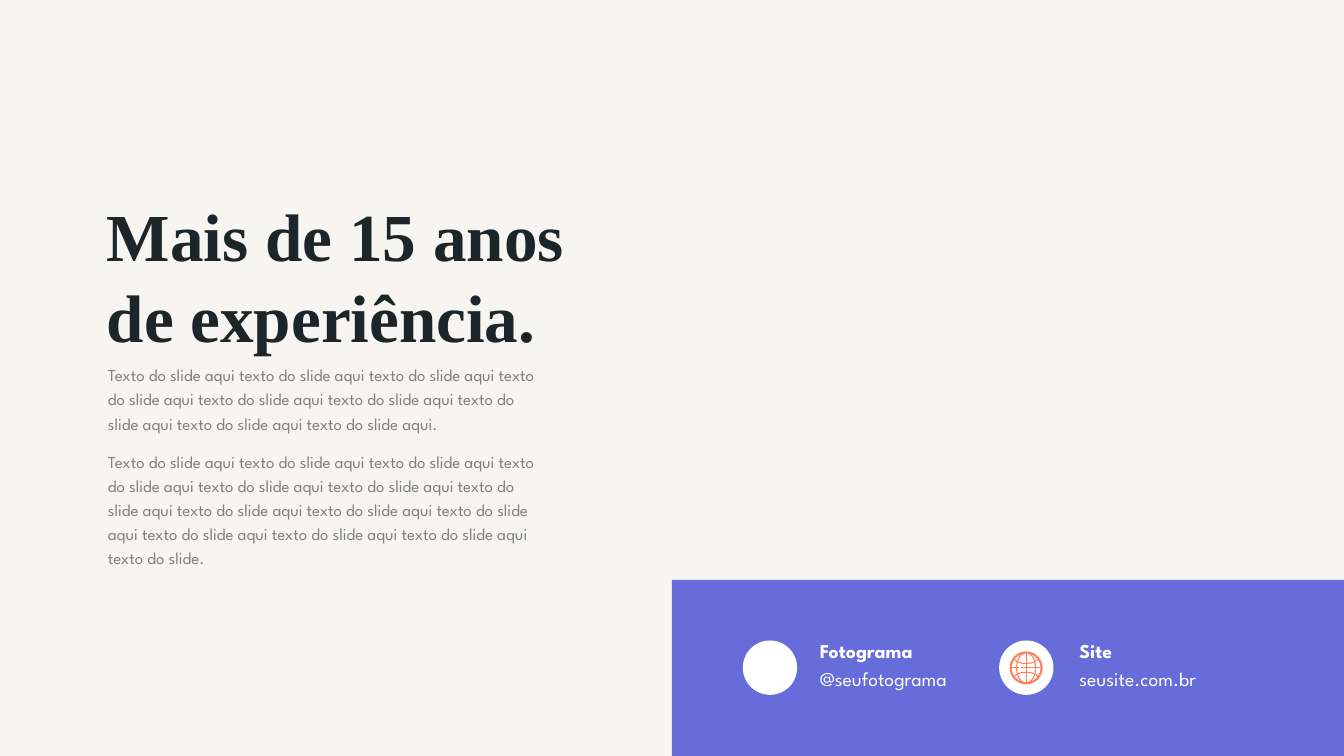
"""Build the experience slide with its contact band."""
from math import cos, pi, sin

from lxml import etree
from pptx import Presentation
from pptx.dml.color import RGBColor
from pptx.enum.shapes import MSO_CONNECTOR, MSO_SHAPE
from pptx.oxml.ns import qn
from pptx.util import Cm, Pt

STRAIGHT = MSO_CONNECTOR.STRAIGHT
OVAL = MSO_SHAPE.OVAL
RECTANGLE = MSO_SHAPE.RECTANGLE

TITLE = "Mais de 15 anos de experiência."
PHRASE = "exto do slide aqui"
BODY = [
    "T" + " t".join([PHRASE] * 9) + ".",
    "T" + " t".join([PHRASE] * 13) + " texto do slide.",
]
CONTACTS = [
    {"name": "Fotograma", "value": "@seufotograma", "circle": 18.72, "text": 20.41},
    {"name": "Site", "value": "seusite.com.br", "circle": 25.18, "text": 26.95},
]
COLORS = {
    "background": "F7F5F2", "band": "676CDB", "title": "1C2528",
    "body": "808080", "white": "FFFFFF", "globe": "FF8059",
}
TITLE_FONT, TEXT_FONT = "Times New Roman", "League Spartan"
SLIDE_WIDTH, SLIDE_HEIGHT = 33.87, 19.05
BAND_TOP = 14.61
CIRCLE_TOP, CIRCLE_SIZE = 16.14, 1.37
NAME_TOP, VALUE_TOP = 16.05, 16.74
GLOBE_X, GLOBE_Y = 25.86, 16.83


def color(name):
    return RGBColor.from_string(COLORS[name])


def add_text(slide, area, lines, font, size, color_name, spacing, bold=False):
    box = slide.shapes.add_textbox(*map(Cm, area))
    frame = box.text_frame
    frame.word_wrap = True
    frame.text = "\n".join(lines)
    for index, para in enumerate(frame.paragraphs):
        para.line_spacing = spacing
        if index:
            para.space_before = Pt(10)
        for span in para.runs:
            span.font.name = font
            span.font.size = Pt(size)
            span.font.bold = bold
            span.font.color.rgb = color(color_name)


def add_solid(slide, preset, area, color_name):
    shape = slide.shapes.add_shape(preset, *map(Cm, area))
    shape.shadow.inherit = False
    shape.fill.solid()
    shape.fill.fore_color.rgb = color(color_name)
    shape.line.fill.background()


def outline(shape, weight):
    shape.line.color.rgb = color("globe")
    shape.line.width = Pt(weight)


def add_ring(slide, width, height, weight):
    ring = slide.shapes.add_shape(
        OVAL, Cm(GLOBE_X - width / 2), Cm(GLOBE_Y - height / 2), Cm(width), Cm(height))
    ring.shadow.inherit = False
    ring.fill.background()
    outline(ring, weight)


def add_line(slide, start, end):
    line = slide.shapes.add_connector(STRAIGHT, *map(Cm, start + end))
    etree.SubElement(line._element.spPr, qn("a:effectLst"))
    outline(line, 0.75)


def add_parallel(slide, side):
    points = [
        (Cm(GLOBE_X - 0.3 * cos(pi * step / 16)),
         Cm(GLOBE_Y + side * (0.25 - 0.14 * sin(pi * step / 16))))
        for step in range(17)
    ]
    builder = slide.shapes.build_freeform(*points[0])
    builder.add_line_segments(points[1:], close=False)
    arc = builder.convert_to_shape()
    arc.shadow.inherit = False
    arc.fill.background()
    outline(arc, 0.75)


def add_globe(slide):
    add_ring(slide, 0.78, 0.78, 1.5)
    add_ring(slide, 0.48, 0.77, 0.75)
    for side in (-1, 1):
        add_parallel(slide, side)
    add_line(slide, (GLOBE_X, GLOBE_Y - 0.39), (GLOBE_X, GLOBE_Y + 0.39))
    for left, right in ((-0.4, -0.18), (-0.13, 0.4)):
        add_line(slide, (GLOBE_X + left, GLOBE_Y), (GLOBE_X + right, GLOBE_Y))


def main():
    deck = Presentation()
    deck.slide_width, deck.slide_height = Cm(SLIDE_WIDTH), Cm(SLIDE_HEIGHT)
    page = deck.slides.add_slide(deck.slide_layouts[6])
    page.background.fill.solid()
    page.background.fill.fore_color.rgb = color("background")

    half = SLIDE_WIDTH / 2
    add_solid(page, RECTANGLE, (half, BAND_TOP, half, SLIDE_HEIGHT - BAND_TOP), "band")
    add_text(page, (2.44, 4.78, 12.04, 3.51), [TITLE], TITLE_FONT, 48, "title", 1.0, True)
    add_text(page, (2.47, 8.97, 11.48, 5.31), BODY, TEXT_FONT, 12, "body", 1.2)

    for contact in CONTACTS:
        add_solid(page, OVAL, (contact["circle"], CIRCLE_TOP, CIRCLE_SIZE, CIRCLE_SIZE), "white")
        for key, top in (("name", NAME_TOP), ("value", VALUE_TOP)):
            add_text(page, (contact["text"], top, 4.83, 0.86), [contact[key]],
                     TEXT_FONT, 14, "white", 0.9, key == "name")
    add_globe(page)
    deck.save("out.pptx")


if __name__ == "__main__":
    main()
